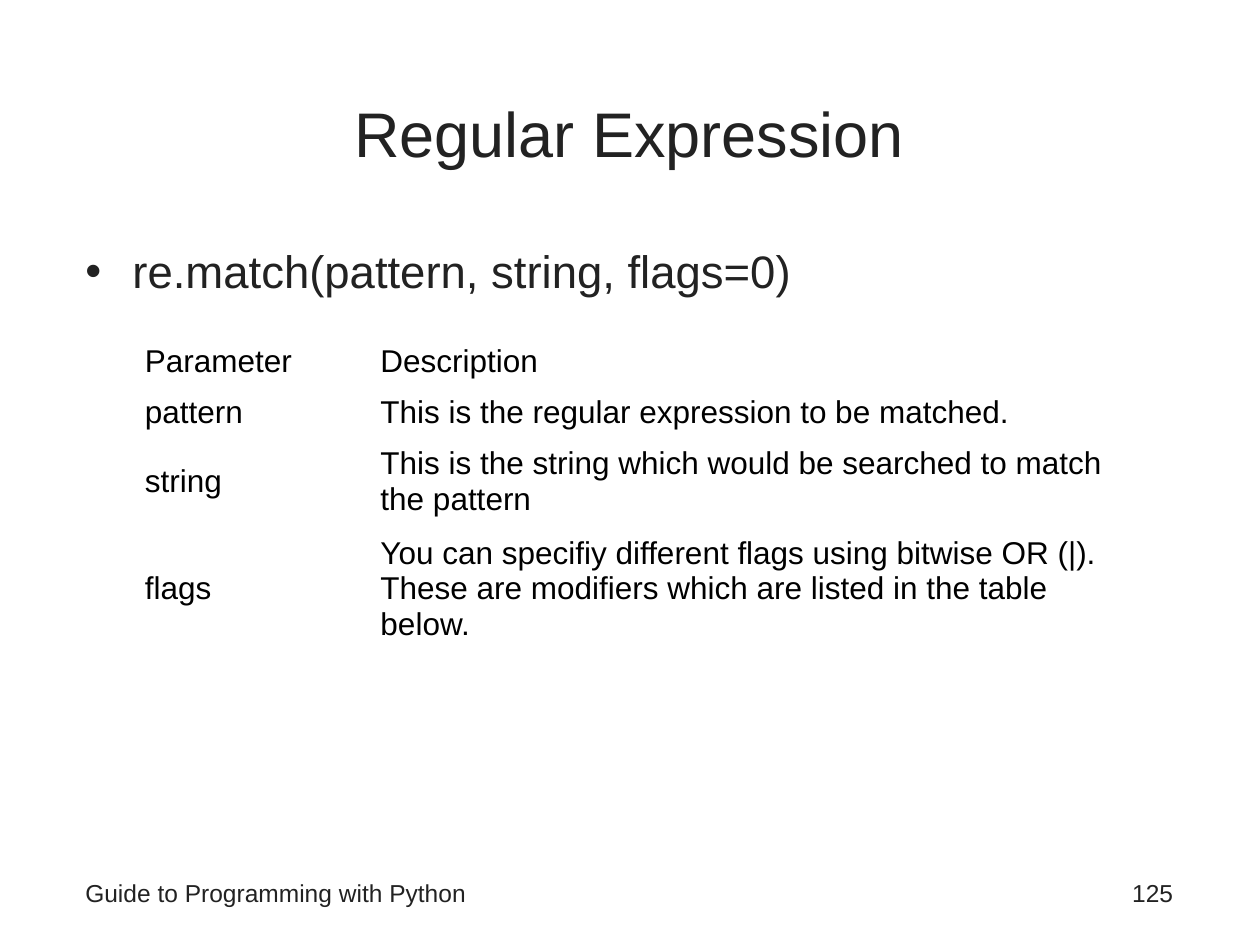
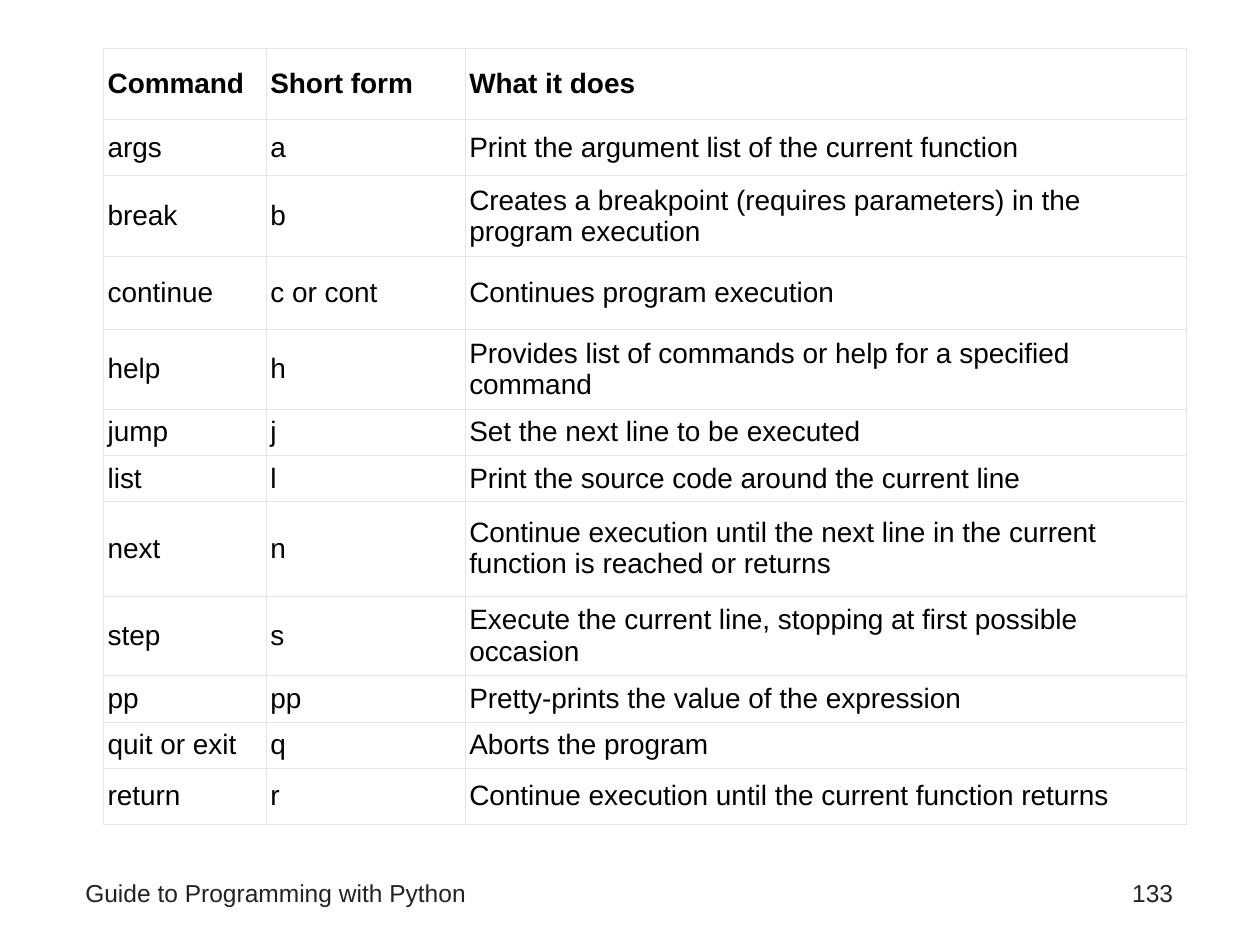
from lxml.etree import SubElement
from pptx import Presentation
from pptx.dml.color import RGBColor
from pptx.enum.text import MSO_ANCHOR, PP_ALIGN
from pptx.oxml.ns import qn
from pptx.util import Cm, Pt

INK = RGBColor(0x22, 0x22, 0x22)
BLACK = RGBColor(0, 0, 0)
WHITE = RGBColor(0xFF, 0xFF, 0xFF)
GRID = RGBColor(0xE5, 0xE5, 0xE5)
FONT = "Arial"
PLAIN_TABLE = "{2D5ABB26-0587-4C30-8999-92F81FD0307C}"
TITLE_ONLY, BLANK = 5, 6

TITLE_BOX = (1.47, 1.07, 22.43, 3.18)
BULLET_BOX = (1.47, 4.65, 22.43, 1.88)
FOOTER_BOX = (1.47, 17.58, 22.43, 1.06)
NUMBER_WIDTH = 5.72

PARAMETERS = [
    (1.02, "Parameter", "Description"),
    (1.02, "pattern", "This is the regular expression to be matched."),
    (1.78, "string", "This is the string which would be searched to match the pattern"),
    (2.54, "flags", "You can specifiy different flags using bitwise OR (|). "
                    "These are modifiers which are listed in the table below."),
]
COMMANDS = [
    (1.44, "Command", "Short form", "What it does"),
    (1.13, "args", "a", "Print the argument list of the current function"),
    (1.63, "break", "b", "Creates a breakpoint (requires parameters) in the program execution"),
    (1.47, "continue", "c or cont", "Continues program execution"),
    (1.5, "help", "h", "Provides list of commands or help for a specified command"),
    (0.88, "jump", "j", "Set the next line to be executed"),
    (0.87, "list", "l", "Print the source code around the current line"),
    (1.9, "next", "n", "Continue execution until the next line in the current "
                       "function is reached or returns"),
    (1.5, "step", "s", "Execute the current line, stopping at first possible occasion"),
    (0.87, "pp", "pp", "Pretty-prints the value of the expression"),
    (0.88, "quit or exit", "q", "Aborts the program"),
    (1.13, "return", "r", "Continue execution until the current function returns"),
]


def write(tf, text, size, color=INK, bold=False, align=PP_ALIGN.LEFT, bullet=None):
    """Write one formatted paragraph into a text frame."""
    tf.word_wrap = True
    p = tf.paragraphs[0]
    p.alignment = align
    if bullet:
        p_pr = p._p.get_or_add_pPr()
        p_pr.set("marL", str(Cm(0.95)))
        p_pr.set("indent", str(Cm(-0.95)))
        SubElement(p_pr, qn("a:buFont"), typeface=FONT)
        SubElement(p_pr, qn("a:buChar"), char=bullet)
    r = p.add_run()
    r.text = text
    r.font.name = FONT
    r.font.size = Pt(size)
    r.font.bold = bold
    r.font.color.rgb = color


def add_text(s, box, text, size, **kwargs):
    """Add a text box and return its text frame."""
    tf = s.shapes.add_textbox(*map(Cm, box)).text_frame
    write(tf, text, size, **kwargs)
    return tf


def add_title(s, box, text):
    """Place and format the title placeholder."""
    sp = s.shapes.title
    sp.left, sp.top, sp.width, sp.height = map(Cm, box)
    sp.text_frame.vertical_anchor = MSO_ANCHOR.MIDDLE
    write(sp.text_frame, text, 36, align=PP_ALIGN.CENTER)


def add_footer(s, box, number):
    """Add the course name on the left and the slide number on the right."""
    left, top, width, height = box
    number_left = left + width - NUMBER_WIDTH
    add_text(s, (left, top, 16.31, height), "Guide to Programming with Python", 14)
    add_text(s, (number_left, top, NUMBER_WIDTH, height), str(number), 14,
             align=PP_ALIGN.RIGHT)


def add_borders(cell, color, width):
    """Draw a thin line on all four sides of a cell."""
    tc_pr = cell._tc.get_or_add_tcPr()
    for side in ("lnL", "lnR", "lnT", "lnB"):
        ln = SubElement(tc_pr, qn(f"a:{side}"), w=str(Pt(width)))
        fill = SubElement(ln, qn("a:solidFill"))
        SubElement(fill, qn("a:srgbClr"), val=str(color))


def add_grid(s, left, top, widths, rows, size, margin=0.25, boxed=False):
    """Add a table whose rows each start with their height."""
    heights = [row[0] for row in rows]
    frame = s.shapes.add_table(len(rows), len(widths), Cm(left), Cm(top),
                               Cm(sum(widths)), Cm(sum(heights)))
    table = frame.table
    table._tbl.tblPr.find(qn("a:tableStyleId")).text = PLAIN_TABLE
    table.first_row = table.horz_banding = False
    for column, width in zip(table.columns, widths):
        column.width = Cm(width)
    for i, (height, *texts) in enumerate(rows):
        table.rows[i].height = Cm(height)
        for cell, text in zip(table.rows[i].cells, texts):
            cell.vertical_anchor = MSO_ANCHOR.MIDDLE
            cell.margin_left = cell.margin_right = Cm(margin)
            if boxed:
                add_borders(cell, GRID, 0.28)
                cell.fill.solid()
                cell.fill.fore_color.rgb = WHITE
            else:
                cell.fill.background()
            write(cell.text_frame, text, size, color=BLACK, bold=boxed and i == 0)


def add_parameter_slide(prs):
    """Build the slide on the parameters of re.match."""
    s = prs.slides.add_slide(prs.slide_layouts[TITLE_ONLY])
    add_title(s, TITLE_BOX, "Regular Expression")
    tf = add_text(s, BULLET_BOX, "re.match(pattern, string, flags=0)", 26, bullet="•")
    tf.margin_top = Cm(0.25)
    add_footer(s, FOOTER_BOX, 125)
    add_grid(s, 2.67, 6.78, (4.75, 15.42), PARAMETERS, 18)


def add_command_slide(prs):
    """Build the slide with the table of debugger commands."""
    s = prs.slides.add_slide(prs.slide_layouts[BLANK])
    add_footer(s, FOOTER_BOX, 133)
    add_grid(s, 2.08, 0.97, (3.28, 4.01, 14.55), COMMANDS, 16, margin=0.09, boxed=True)


def main():
    """Build and save the presentation."""
    prs = Presentation()
    prs.slide_width, prs.slide_height = Cm(25.4), Cm(19.05)
    add_parameter_slide(prs)
    add_command_slide(prs)
    prs.save("out.pptx")


if __name__ == "__main__":
    main()
